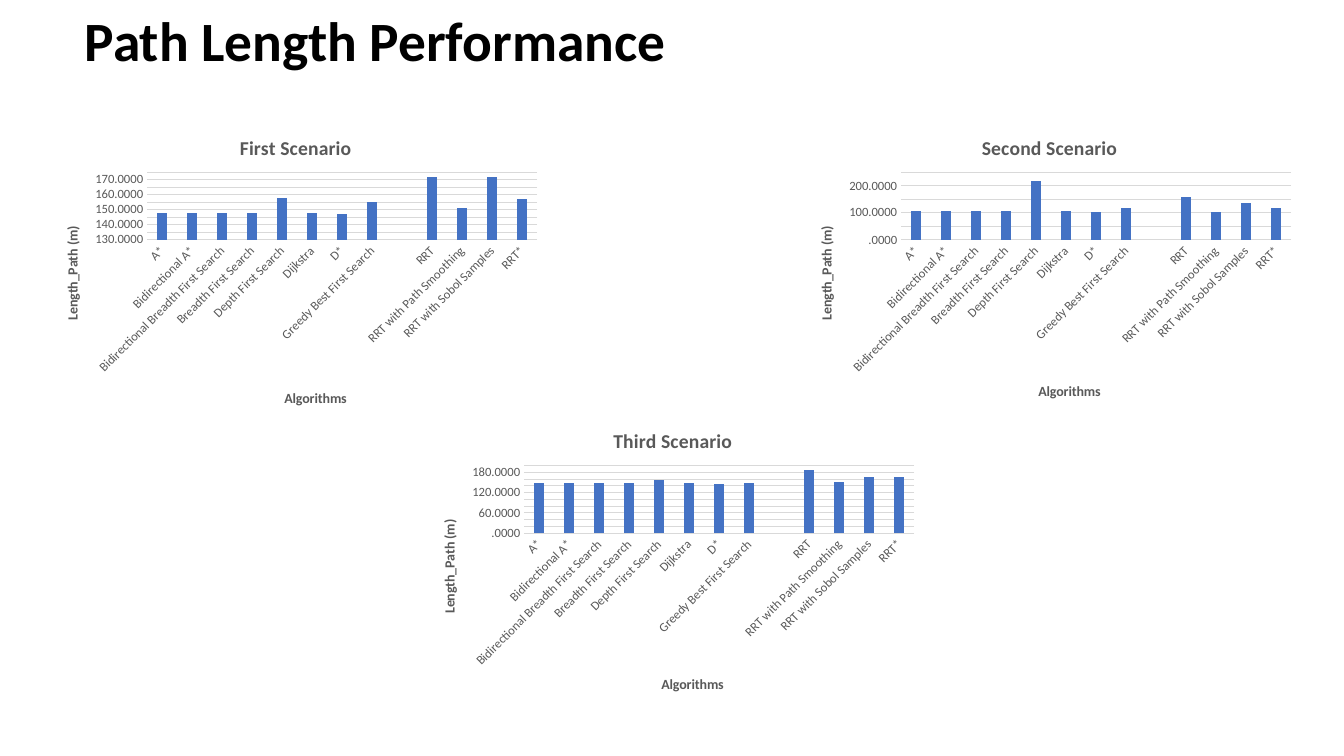
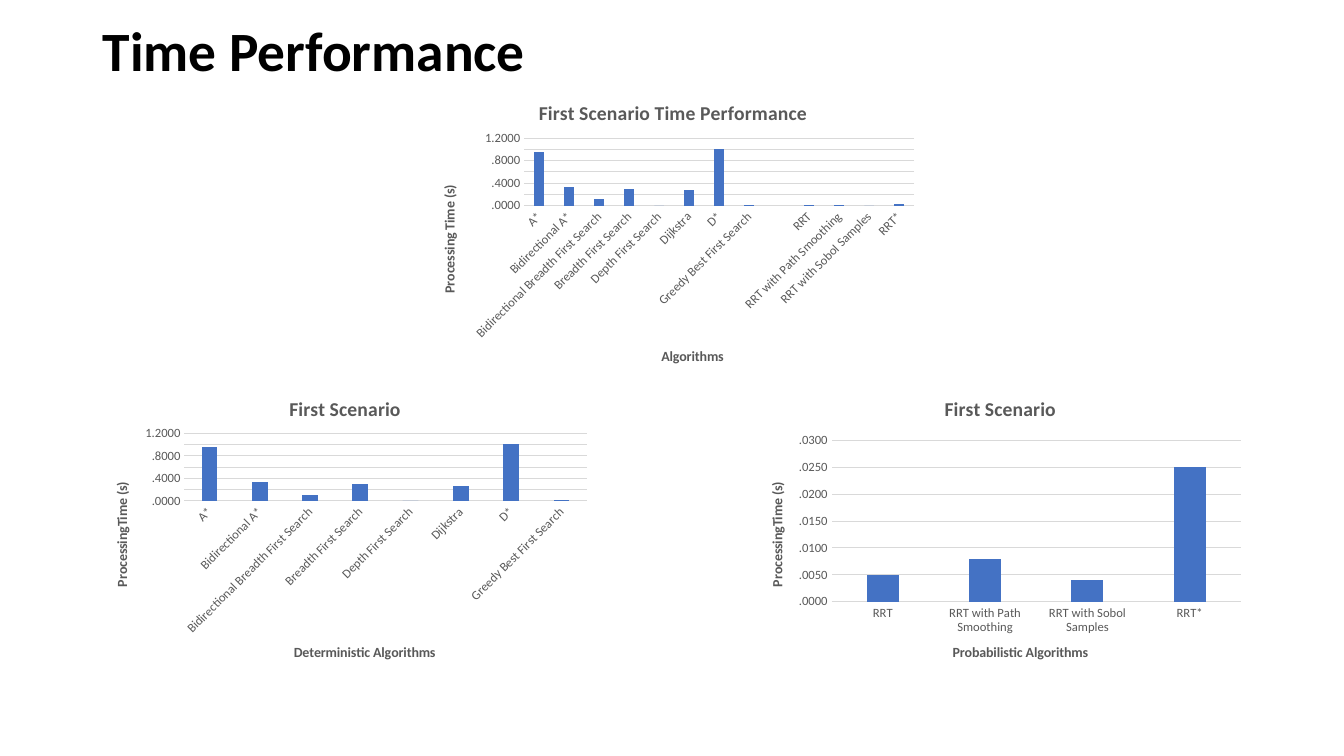
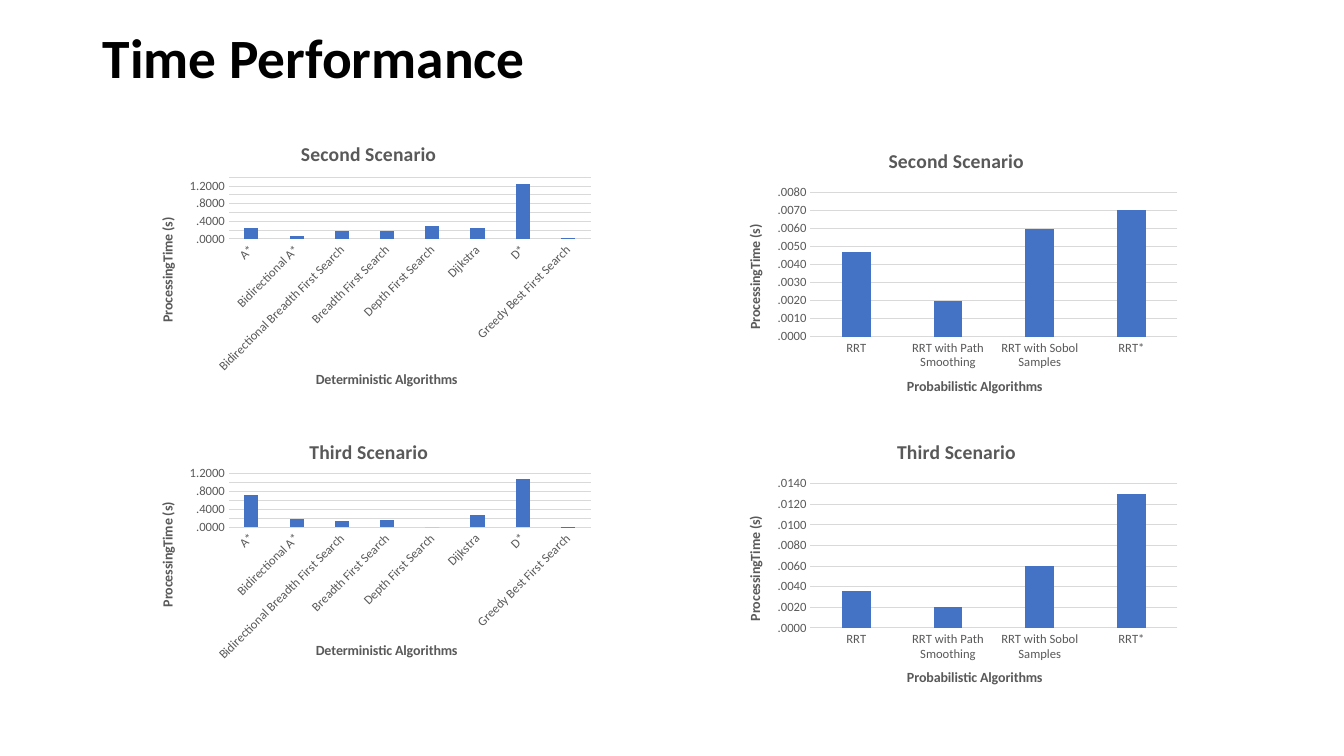
from dataclasses import dataclass

from pptx import Presentation
from pptx import util as u
from pptx.chart.data import CategoryChartData
from pptx.dml.color import RGBColor
from pptx.enum import chart as ch, text
from pptx.oxml import parse_xml
from pptx.oxml.ns import nsdecls, qn

# Lengths are cells of a square grid, 75 rows high.
ROWS = 75
HIGH = u.Inches(7.5)
WIDE = u.Inches(13.333)
CELL = HIGH / ROWS

FACE = "Calibri"
INK = {"head": "000000", "text": "595959", "grid": "D9D9D9", "bar": "4472C4"}

# Printed length of each chart and axis title, in cells.
SPAN = {
    "First Scenario": 11,
    "Second Scenario": 13.4,
    "Third Scenario": 11.7,
    "First Scenario Time Performance": 26.5,
    "Algorithms": 6.2,
    "Deterministic Algorithms": 14.1,
    "Probabilistic Algorithms": 13.4,
    "Length_Path (m)": 9.3,
    "ProcessingTime (s)": 10.4,
    "Processing Time (s)": 10.7,
}

FIXED = ["A*", "Bidirectional A*", "Bidirectional Breadth First Search",
         "Breadth First Search", "Depth First Search", "Dijkstra", "D*",
         "Greedy Best First Search"]
RANDOM = ["RRT", "RRT with Path Smoothing", "RRT with Sobol Samples", "RRT*"]


@dataclass(frozen=True)
class Kind:
    """A group of algorithms; tilt is the label angle in degrees."""
    name: str
    cats: list[str]
    tilt: int


@dataclass(frozen=True)
class Box:
    left: float
    top: float
    wide: float
    high: float

    def emu(self) -> list[int]:
        return [round(n * CELL) for n in (self.left, self.top, self.wide, self.high)]


@dataclass(frozen=True)
class Graph:
    """A bar chart; plot is placed within box, scale is low, high, step."""
    kind: Kind
    title: str
    unit: str
    box: Box
    plot: Box
    scale: tuple[float, float, float]
    vals: list[float | None]
    foot: float = 2.9


@dataclass(frozen=True)
class Page:
    title: str
    head: Box
    graphs: list[Graph]


ALL = Kind("Algorithms", FIXED + [""] + RANDOM, -45)
DET = Kind("Deterministic Algorithms", FIXED, -45)
PROB = Kind("Probabilistic Algorithms", RANDOM, 0)

PATH, TIME, LONG = "Length_Path (m)", "ProcessingTime (s)", "Processing Time (s)"
ONE, TWO, THREE = "First Scenario", "Second Scenario", "Third Scenario"
BROAD = Box(10.3, 5.3, 38.7, 6.7)
SMALL = Box(8.4, 6, 36.4, 14.3)

PAGES = [
    Page("Path Length Performance", Box(7.4, 1.9, 115, 4.8), [
        Graph(ALL, ONE, PATH, Box(4.3, 11.8, 50, 30), BROAD, (130, 175, 5),
              [148, 148, 148, 148, 158, 148, 147, 155, None, 172, 151, 172, 157], 2.2),
        Graph(ALL, TWO, PATH, Box(79.1, 11.8, 50, 30), BROAD, (0, 250, 50),
              [106, 106, 106, 106, 217, 106, 104, 116, None, 159, 103, 135, 117]),
        Graph(ALL, THREE, PATH, Box(41.7, 40.9, 50, 30), BROAD, (0, 200, 20),
              [148, 148, 148, 148, 158, 148, 147, 149, None, 186, 151, 166, 165]),
    ]),
    Page("Time Performance", Box(9.2, 2.4, 115, 5.9), [
        Graph(DET, ONE, TIME, Box(9.2, 37.7, 50, 30), Box(9.1, 5.3, 39.9, 6.7),
              (0, 1.2, 0.2), [0.95, 0.33, 0.11, 0.3, 0, 0.27, 1.01, 0.01]),
        Graph(PROB, ONE, TIME, Box(74.2, 37.7, 50, 30), Box(8.3, 6, 40.6, 16),
              (0, 0.03, 0.005), [0.005, 0.008, 0.004, 0.025]),
        Graph(ALL, "First Scenario Time Performance", LONG, Box(41.7, 8.4, 50, 30),
              BROAD, (0, 1.2, 0.2),
              [0.95, 0.33, 0.11, 0.3, 0, 0.27, 1.01, 0.01, None, 0.01, 0.01, 0, 0.03]),
    ]),
    Page("Time Performance", Box(9.2, 2.5, 115, 7.1), [
        Graph(DET, THREE, TIME, Box(13.7, 42, 45.7, 25.5), Box(9, 5, 35.9, 5.3),
              (0, 1.2, 0.2), [0.72, 0.18, 0.13, 0.17, 0, 0.27, 1.07, 0.01]),
        Graph(PROB, THREE, TIME, Box(72, 42, 45.7, 28.2), SMALL,
              (0, 0.014, 0.002), [0.0036, 0.002, 0.006, 0.013]),
        Graph(DET, TWO, TIME, Box(13.7, 12.4, 45.7, 28.2), Box(9, 5.2, 35.9, 6.1),
              (0, 1.4, 0.2), [0.25, 0.07, 0.18, 0.17, 0.3, 0.25, 1.24, 0.01]),
        Graph(PROB, TWO, TIME, Box(72, 13.1, 45.7, 28.2), SMALL,
              (0, 0.008, 0.001), [0.0047, 0.002, 0.006, 0.007]),
    ]),
]


def style(font, size: float, ink: str, bold: bool = False) -> None:
    for key, val in {"name": FACE, "size": u.Pt(size), "bold": bold}.items():
        setattr(font, key, val)
    font.color.rgb = RGBColor.from_string(INK[ink])


def rule(line) -> None:
    line.width = u.Pt(0.75)
    line.color.rgb = RGBColor.from_string(INK["grid"])


def pin(node, spot: int, **shares: float) -> None:
    """Give a chart part a manual layout, as shares of the chart's size."""
    for old in node.findall(qn("c:layout")):
        node.remove(old)
    modes = "".join(f'<c:{key}Mode val="edge"/>' for key in "xy")
    parts = "".join(f'<c:{key} val="{val:.4f}"/>' for key, val in shares.items())
    inner = '<c:layoutTarget val="inner"/>' if "w" in shares else ""
    node.insert(spot, parse_xml(
        f'<c:layout {nsdecls("c")}><c:manualLayout>{inner}{modes}{parts}'
        "</c:manualLayout></c:layout>"))


def label(title, words: str, size: int, mid: tuple[float, float], box: Box,
          turn: bool = False) -> None:
    """Write a chart or axis title centred on mid."""
    frame = title.text_frame
    frame.text = words
    style(frame.paragraphs[0].runs[0].font, size, "text", True)
    body = frame._txBody.find(qn("a:bodyPr"))
    body.set("rot", "-5400000" if turn else "0")
    body.set("vert", "horz")
    half = [SPAN[words] / 2 + size * 0.025, size * 0.126]
    if turn:
        half.reverse()
    pin(title._element, 1, x=(mid[0] - half[0]) / box.wide,
        y=(mid[1] - half[1]) / box.high)


def draw(slide, graph: Graph) -> None:
    kind, box, plot = graph.kind, graph.box, graph.plot
    data = CategoryChartData()
    data.categories = kind.cats
    data.add_series("Series 1", graph.vals)
    chart = slide.shapes.add_chart(
        ch.XL_CHART_TYPE.COLUMN_CLUSTERED, *box.emu(), data).chart
    style(chart.font, 10, "head")
    chart.has_legend = False

    bars = chart.plots[0]
    for key, val in {"gap_width": 219, "overlap": -27,
                     "vary_by_categories": False}.items():
        setattr(bars, key, val)
    fill = bars.series[0].format.fill
    fill.solid()
    fill.fore_color.rgb = RGBColor.from_string(INK["bar"])

    cat, val = chart.category_axis, chart.value_axis
    for axis in (cat, val):
        axis.major_tick_mark = axis.minor_tick_mark = ch.XL_TICK_MARK.NONE
        style(axis.tick_labels.font, 9, "text")
    rule(cat.format.line)
    turn = cat._element.find(qn("c:txPr")).find(qn("a:bodyPr"))
    turn.set("rot", str(kind.tilt * 60000))
    turn.set("vert", "horz")

    rule(val.major_gridlines.format.line)
    val.format.line.fill.background()
    val.minimum_scale, val.maximum_scale, val.major_unit = graph.scale
    val.tick_labels.number_format = "#.0000"
    val.tick_labels.number_format_is_linked = False

    label(chart.chart_title, graph.title, 14, (box.wide / 2, 2.9), box)
    label(cat.axis_title, kind.name, 10,
          (box.wide * 0.54, box.high - graph.foot), box)
    label(val.axis_title, graph.unit, 10, (3, box.high * 0.51), box, True)
    pin(chart._chartSpace.chart.plotArea, 0, x=plot.left / box.wide,
        y=plot.top / box.high, w=plot.wide / box.wide, h=plot.high / box.high)


def head(slide, page: Page) -> None:
    shape = slide.shapes.title
    shape.left, shape.top, shape.width, shape.height = page.head.emu()
    frame = shape.text_frame
    frame.text = page.title
    for key, val in {"auto_size": text.MSO_AUTO_SIZE.NONE, "word_wrap": True,
                     "vertical_anchor": text.MSO_ANCHOR.MIDDLE}.items():
        setattr(frame, key, val)
    para = frame.paragraphs[0]
    para.alignment = text.PP_ALIGN.LEFT
    para.line_spacing = 0.9
    style(para.runs[0].font, 39.6, "head", True)


def main() -> None:
    deck = Presentation()
    deck.slide_width, deck.slide_height = WIDE, HIGH
    for page in PAGES:
        slide = deck.slides.add_slide(deck.slide_layouts[5])
        head(slide, page)
        for graph in page.graphs:
            draw(slide, graph)
    deck.save("out.pptx")


if __name__ == "__main__":
    main()
